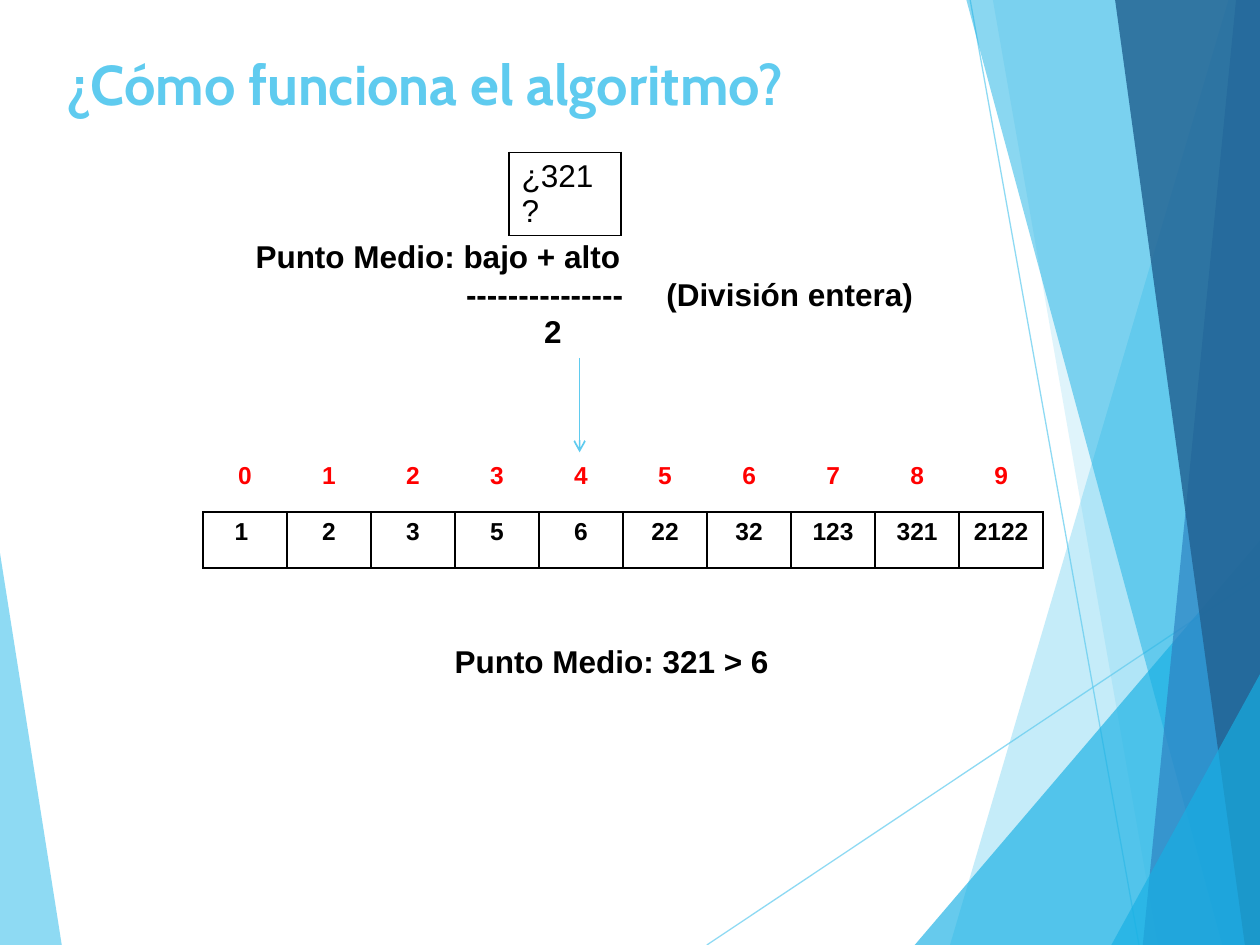
import pptx
import pptx.dml.color
import pptx.enum.shapes
import pptx.enum.text
import pptx.oxml
import pptx.oxml.ns
import pptx.util
from pptx.util import Inches

RGBColor = pptx.dml.color.RGBColor
SKY = RGBColor(0x5F, 0xCB, 0xEF)
CYAN = RGBColor(0x17, 0xB0, 0xE4)
BLUE = RGBColor(0x2E, 0x83, 0xC3)
NAVY = RGBColor(0x22, 0x62, 0x92)
RED = RGBColor(0xFF, 0, 0)
BLACK = RGBColor(0, 0, 0)

TITLE = "¿Cómo funciona el algoritmo?"
TARGET = "¿321?"
FORMULA = [
    ("Punto Medio: bajo + alto", []),
    ("\t---------------\t(División entera)", [1.67, 3.26]),
    ("\t2", [2.29]),
]
COMPARISON = "Punto Medio: 321 > 6"
VALUES = ["1 ", "2", "3", "5", "6", "22", "32", "123", "321", "2122"]
INDEXES = [str(index) for index in range(len(VALUES))]

LEFT_FACET = ([(0, 4.39), (0.49, 7.5), (0, 7.5)], SKY, 70)
RAYS = [((5.61, 7.5), (10, 4.57)), ((7.7, 0), (9.04, 7.5))]
RIGHT_FACETS = [
    ([(9.75, 0), (7.54, 7.5), (10, 7.5), (10, 0)], SKY, 36),
    ([(7.88, 0), (9.19, 7.5), (10, 7.5), (10, 0)], SKY, 20),
    ([(7.26, 7.5), (10, 4.29), (10, 7.5)], CYAN, 66),
    ([(7.67, 0), (9.7, 7.5), (10, 7.5), (10, 0)], CYAN, 50),
    ([(9.81, 0), (9.07, 7.5), (10, 7.5), (10, 0)], BLUE, 70),
    ([(8.85, 0), (9.88, 7.5), (10, 7.5), (10, 0)], NAVY, 82),
    ([(8.82, 7.5), (10, 5.35), (10, 7.5)], CYAN, 66),
]
NO_STYLE = "{2D5ABB26-0587-4C30-8999-92F81FD0307C}"


def add_element(parent, tag, **attributes):
    element = pptx.oxml.parse_xml(f"<a:{tag} {pptx.oxml.ns.nsdecls('a')}/>")
    for name, value in attributes.items():
        element.set(name, str(value))
    parent.append(element)
    return element


def set_opacity(shape, percent):
    color = next(shape._element.spPr.iter(pptx.oxml.ns.qn("a:srgbClr")))
    add_element(color, "alpha", val=percent * 1000)


def add_facet(slide, points, color, opacity):
    scaled = [(Inches(x), Inches(y)) for x, y in points]
    builder = slide.shapes.build_freeform(*scaled[0])
    builder.add_line_segments(scaled[1:], close=True)
    facet = builder.convert_to_shape()
    facet.shadow.inherit = False
    facet.fill.solid()
    facet.fill.fore_color.rgb = color
    facet.line.fill.background()
    set_opacity(facet, opacity)


def add_line(slide, start, end, width):
    line = slide.shapes.add_connector(
        pptx.enum.shapes.MSO_CONNECTOR.STRAIGHT,
        *(Inches(value) for value in (*start, *end)))
    line.line.color.rgb = SKY
    line.line.width = pptx.util.Pt(width)
    add_element(line._element.spPr, "effectLst")
    return line


def add_run(paragraph, text, size, color=BLACK, bold=True, font="Arial"):
    run = paragraph.add_run()
    run.text = text
    run.font.name = font
    run.font.size = pptx.util.Pt(size)
    run.font.bold = bold
    run.font.color.rgb = color


def add_text(slide, box, lines, size, **style):
    frame = slide.shapes.add_textbox(*(Inches(value) for value in box)).text_frame
    frame.word_wrap = True
    for number, (text, stops) in enumerate(lines):
        paragraph = frame.add_paragraph() if number else frame.paragraphs[0]
        if stops:
            tabs = add_element(paragraph._p.get_or_add_pPr(), "tabLst")
            for stop in stops:
                add_element(tabs, "tab", pos=Inches(stop), algn="l")
        add_run(paragraph, text, size, **style)


def add_plain_table(slide, rows, columns, box):
    table = slide.shapes.add_table(
        rows, columns, *(Inches(value) for value in box)).table
    table.first_row = table.horz_banding = False
    table._tbl.tblPr.find(pptx.oxml.ns.qn("a:tableStyleId")).text = NO_STYLE
    return table


def fill_cell(cell, text, size, color, bold=True, bordered=True, centered=True):
    if bordered:
        properties = cell._tc.get_or_add_tcPr()
        for side in ("lnL", "lnR", "lnT", "lnB"):
            border = add_element(properties, side, w=pptx.util.Pt(1))
            add_element(add_element(border, "solidFill"), "srgbClr", val=BLACK)
    cell.fill.background()
    paragraph = cell.text_frame.paragraphs[0]
    if centered:
        paragraph.alignment = pptx.enum.text.PP_ALIGN.CENTER
    add_run(paragraph, text, size, color, bold)


def main():
    presentation = pptx.Presentation()
    presentation.slide_width = Inches(10)
    presentation.slide_height = Inches(7.5)
    slide = presentation.slides.add_slide(presentation.slide_layouts[6])

    add_facet(slide, *LEFT_FACET)
    for start, end in RAYS:
        set_opacity(add_line(slide, start, end, 0.75), 70)
    for facet in RIGHT_FACETS:
        add_facet(slide, *facet)

    target = add_plain_table(slide, 1, 1, (4.04, 1.21, 0.89, 0.41))
    fill_cell(target.cell(0, 0), TARGET, 18, BLACK, bold=False, centered=False)

    arrow = add_line(slide, (4.6, 2.84), (4.6, 3.59), 1)
    add_element(arrow.line._get_or_add_ln(), "tailEnd", type="arrow")
    add_text(slide, (1.93, 1.83, 6.15, 1.01), FORMULA, 18)

    array = add_plain_table(slide, 2, len(VALUES), (1.61, 3.62, 6.67, 0.89))
    for column, (index, value) in enumerate(zip(INDEXES, VALUES)):
        fill_cell(array.cell(0, column), index, 14, RED, bordered=False)
        fill_cell(array.cell(1, column), value, 14, BLACK)

    add_text(slide, (3.51, 5.05, 2.83, 0.4), [(COMPARISON, [])], 18)
    add_text(slide, (0.43, 0.34, 9, 1.25), [(TITLE, [])], 32, color=SKY, font="Cabin")
    presentation.save("out.pptx")


if __name__ == "__main__":
    main()
